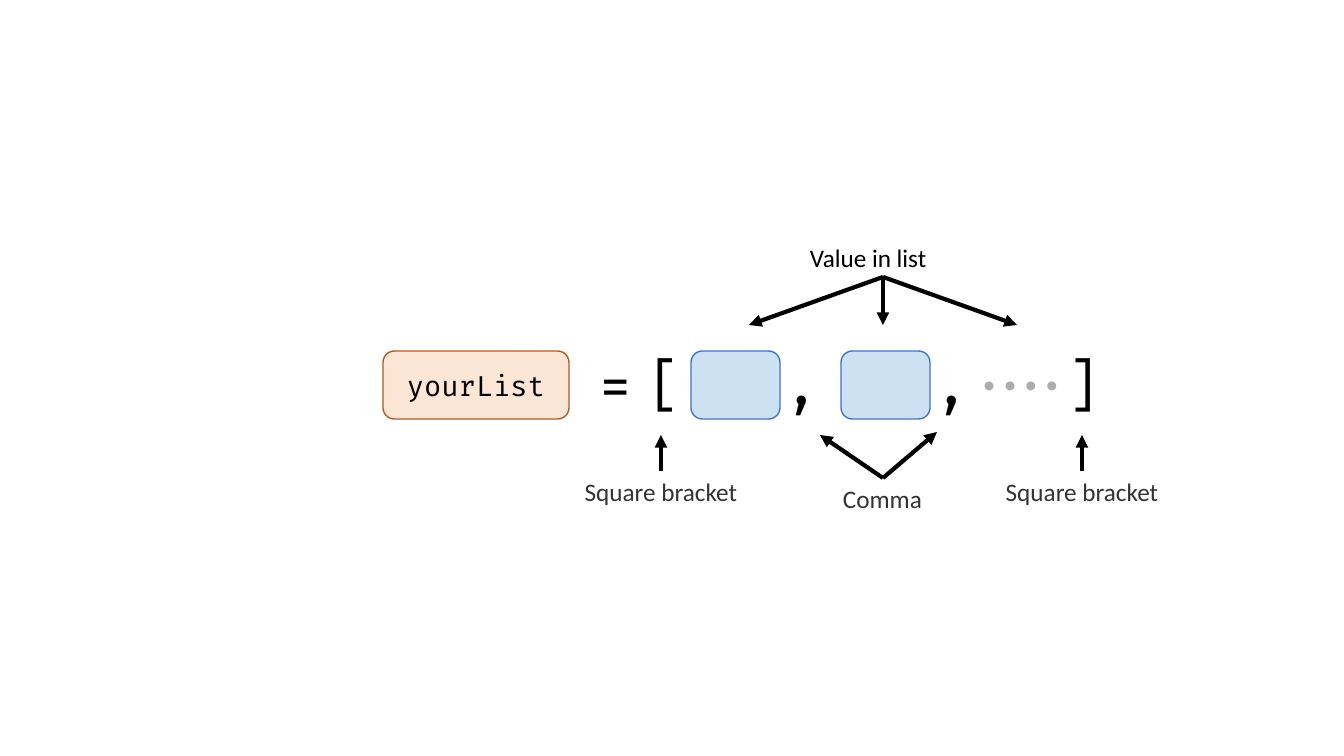
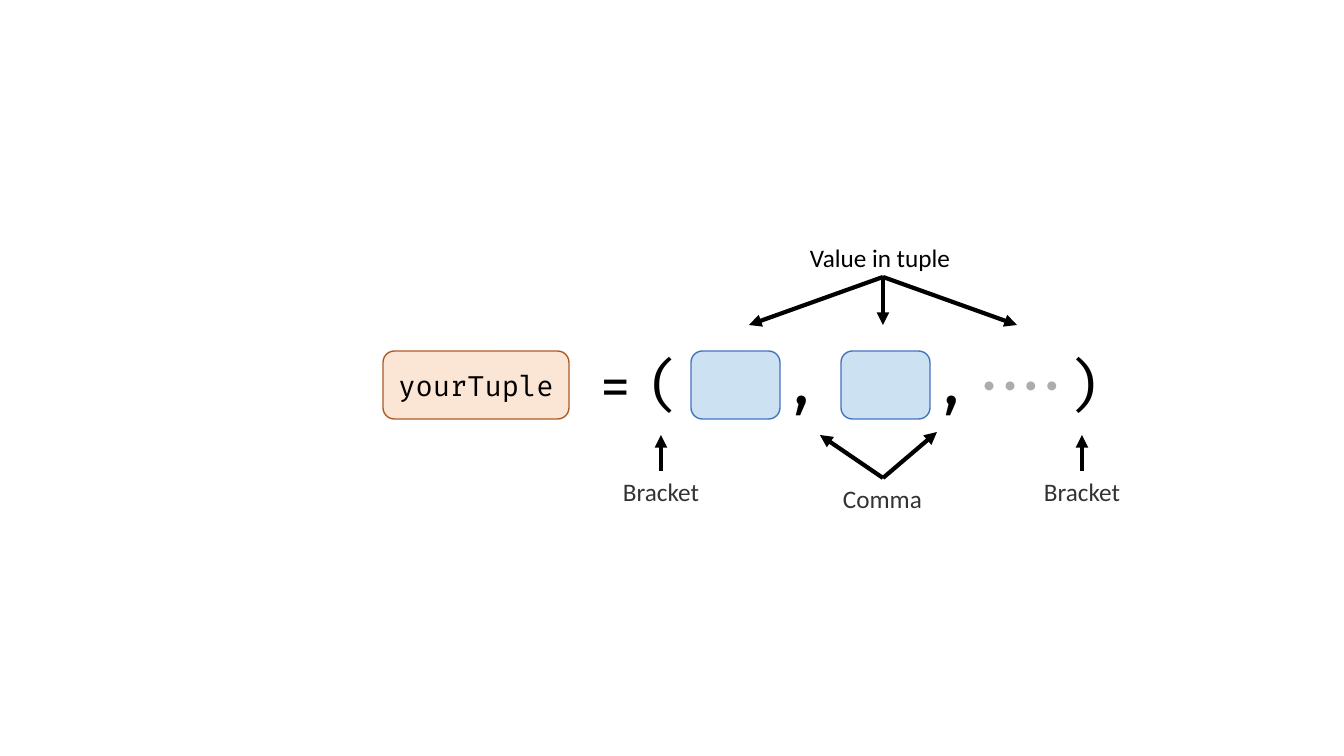
import pptx
import pptx.util
import pptx.dml.color
import pptx.enum.shapes
import pptx.enum.text
import pptx.oxml.ns
import lxml.etree

SCALE = 914400 / 100.8
COLORS = {
    "ink": "000000",
    "note": "333333",
    "dots": "AFABAB",
    "name": "ED7D31",
    "name_line": "AF5C24",
    "value": "0070C0",
    "value_line": "4472C4",
}
BODY, CODE = "Calibri", "Fira Code"
ALIGN = pptx.enum.text.PP_ALIGN
qn = pptx.oxml.ns.qn


def px(n):
    return pptx.util.Emu(round(n * SCALE))


def rgb(name):
    return pptx.dml.color.RGBColor.from_string(COLORS[name])


class Diagram:
    def __init__(self):
        self.prs = pptx.Presentation()
        self.prs.slide_width = px(1344)
        self.prs.slide_height = px(756)
        self.s = None

    def new_slide(self):
        self.s = self.prs.slides.add_slide(self.prs.slide_layouts[6])

    def set_text(self, tf, text, size, font, color, align, spacing=0):
        tf.text = text
        p = tf.paragraphs[0]
        p.alignment = align
        for r in p.runs:
            r.font.size = pptx.util.Pt(size)
            r.font.name = font
            r.font.color.rgb = rgb(color)
            if spacing:
                r._r.get_or_add_rPr().set("spc", str(spacing * 100))

    def box(self, x, y, w, h, color, text=""):
        sp = self.s.shapes.add_shape(
            pptx.enum.shapes.MSO_SHAPE.ROUNDED_RECTANGLE, px(x), px(y), px(w), px(h))
        sp.shadow.inherit = False
        sp.fill.solid()
        sp.fill.fore_color.rgb = rgb(color)
        fill = sp._element.spPr.find(qn("a:solidFill"))
        lxml.etree.SubElement(fill[0], qn("a:alpha"), val="20000")
        sp.line.color.rgb = rgb(color + "_line")
        sp.line.width = pptx.util.Pt(1)
        if text:
            tf = sp.text_frame
            tf.vertical_anchor = pptx.enum.text.MSO_ANCHOR.MIDDLE
            self.set_text(tf, text, 20, CODE, "ink", ALIGN.CENTER)

    def label(self, x, y, w, h, text, size=18, font=BODY, color="note",
              align=ALIGN.LEFT, spacing=0, wrap=True):
        tf = self.s.shapes.add_textbox(px(x), px(y), px(w), px(h)).text_frame
        tf.word_wrap = wrap
        tf.auto_size = pptx.enum.text.MSO_AUTO_SIZE.SHAPE_TO_FIT_TEXT
        self.set_text(tf, text, size, font, color, align, spacing)

    def symbol(self, x, text):
        self.label(x, 345, 70, 78, text, 40, CODE, "ink")

    def arrow(self, x1, y1, x2, y2):
        line = self.s.shapes.add_connector(
            pptx.enum.shapes.MSO_CONNECTOR.STRAIGHT, px(x1), px(y1), px(x2), px(y2))
        line.line.color.rgb = rgb("ink")
        line.line.width = pptx.util.Pt(3)
        ln = line._element.spPr.find(qn("a:ln"))
        lxml.etree.SubElement(ln, qn("a:tailEnd"), type="triangle")
        lxml.etree.SubElement(line._element.spPr, qn("a:effectLst"))

    def syntax_slide(self, kind, opening, closing, bracket):
        self.new_slide()
        self.box(383, 351, 186, 68, "name", "your" + kind.title())
        self.symbol(589, "=")
        self.symbol(638, opening)
        for i in range(2):
            self.box(691 + 150 * i, 351, 89, 68, "value")
            self.symbol(775 + 150 * i, ",")
        self.label(973, 363, 129, 40, "••••", color="dots", spacing=6)
        self.symbol(1057, closing)

        middle = 883
        self.label(800, 237, 164, 40, "Value in " + kind, color="ink")
        for offset in (0, -134, 134):
            self.arrow(middle, 277, middle + offset, 325)

        self.label(833, 478, 100, 40, "Comma", wrap=False)
        for x, y in ((820, 435), (937, 432)):
            self.arrow(middle, 478, x, y)

        for x in (661, 1082):
            self.label(x - 100, 471, 200, 40, bracket, align=ALIGN.CENTER)
            self.arrow(x, 471, x, 435)


diagram = Diagram()
diagram.syntax_slide("list", "[", "]", "Square bracket")
diagram.syntax_slide("tuple", "(", ")", "Bracket")
diagram.prs.save("out.pptx")
